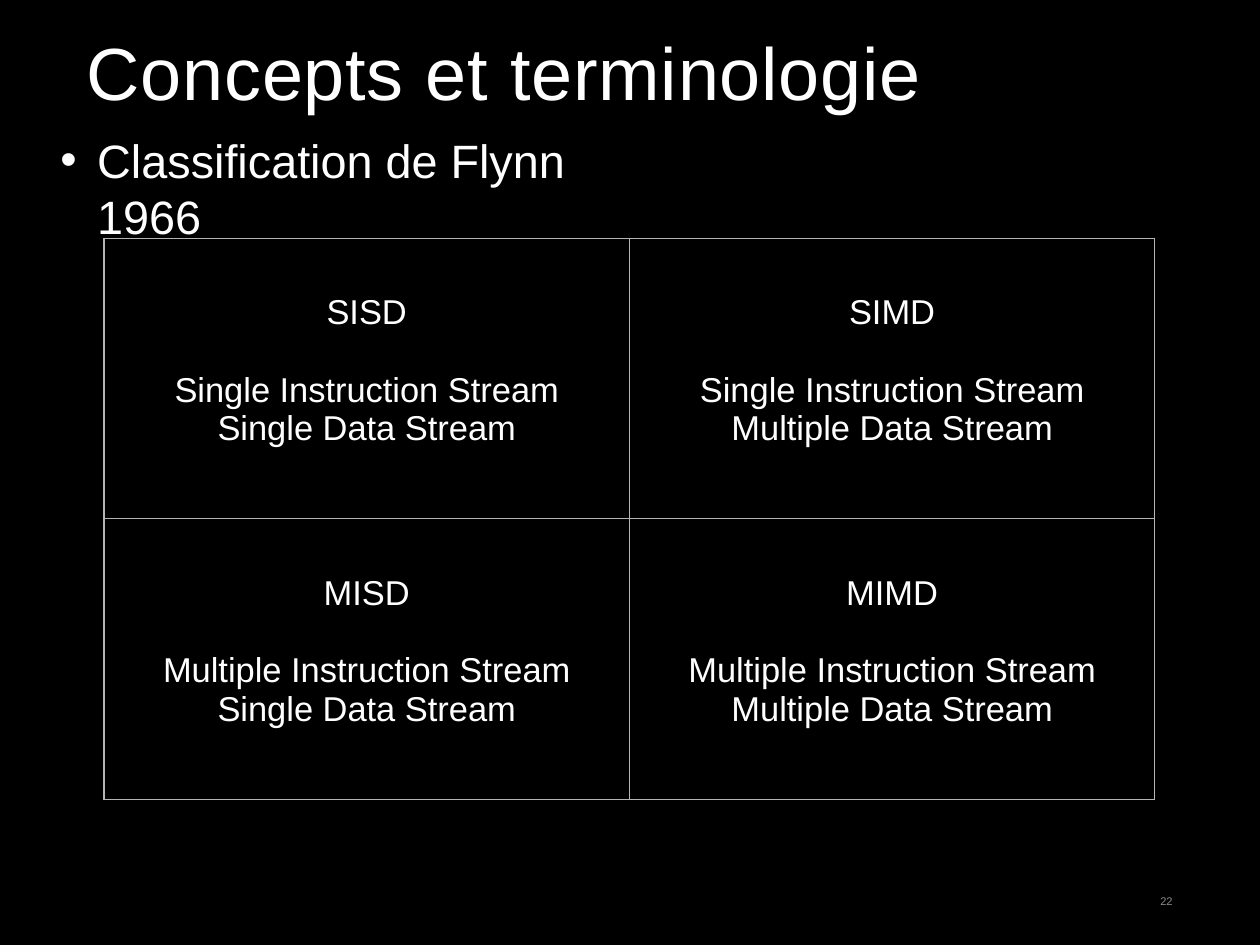
from lxml.etree import SubElement
from pptx import Presentation
from pptx.dml.color import RGBColor
from pptx.enum.text import MSO_ANCHOR, MSO_AUTO_SIZE, PP_ALIGN
from pptx.oxml.ns import qn
from pptx.util import Pt

WHITE, BLACK, GREY, RULE = "FFFFFF", "000000", "8C8C8C", "B4B4B4"
GRID = [
    [("SISD", "Single", "Single"), ("SIMD", "Single", "Multiple")],
    [("MISD", "Multiple", "Single"), ("MIMD", "Multiple", "Multiple")],
]


def tint(code):
    return RGBColor.from_string(code)


def place(shape, box):
    shape.left, shape.top, shape.width, shape.height = map(Pt, box)


def style(frame, size, code, align, gap=0):
    for para in frame.paragraphs:
        para.alignment = align
        para.space_before = Pt(0)
        for run in para.runs:
            font = run.font
            font.name, font.size = "Arial", Pt(size)
            font.color.rgb = tint(code)
            if gap:
                run._r.get_or_add_rPr().set("spc", str(gap))


def fit(frame, anchor):
    frame.word_wrap = True
    frame.auto_size = MSO_AUTO_SIZE.NONE
    frame.vertical_anchor = anchor
    frame.margin_left = frame.margin_right = 0
    frame.margin_top = frame.margin_bottom = 0


def add_title(slide, box):
    shape = slide.shapes.title
    place(shape, box)
    frame = shape.text_frame
    frame.text = "Concepts et terminologie"
    fit(frame, MSO_ANCHOR.MIDDLE)
    style(frame, 60, WHITE, PP_ALIGN.LEFT, 67)


def add_list(slide, box):
    shape = slide.placeholders[1]
    place(shape, box)
    frame = shape.text_frame
    frame.text = "Classification de Flynn 1966"
    fit(frame, MSO_ANCHOR.TOP)
    style(frame, 38, WHITE, PP_ALIGN.LEFT)
    para = frame.paragraphs[0]
    para.line_spacing = Pt(45.5)
    props = para._p.get_or_add_pPr()
    props.set("marL", str(Pt(31)))
    props.set("indent", str(Pt(-30)))
    SubElement(props, qn("a:buChar")).set("char", "•")


def rule_cell(cell, code):
    props = cell._tc.get_or_add_tcPr()
    for side in ("lnL", "lnR", "lnT", "lnB"):
        line = SubElement(props, qn("a:" + side), w=str(Pt(1)))
        fill = SubElement(line, qn("a:solidFill"))
        SubElement(fill, qn("a:srgbClr")).set("val", str(tint(code)))


def fill_cell(cell, name, order, data):
    rule_cell(cell, RULE)
    cell.fill.solid()
    cell.fill.fore_color.rgb = tint(BLACK)
    cell.margin_left = cell.margin_right = cell.margin_bottom = 0
    cell.margin_top = Pt(45)
    cell.vertical_anchor = MSO_ANCHOR.TOP
    frame = cell.text_frame
    frame.text = f"{name}\n{order} Instruction Stream\n{data} Data Stream"
    style(frame, 28, WHITE, PP_ALIGN.CENTER)
    frame.paragraphs[1].space_before = Pt(32)


def add_grid(slide, box):
    table = slide.shapes.add_table(len(GRID), len(GRID[0]), *map(Pt, box)).table
    table.first_row = table.horz_banding = False
    for row, items in enumerate(GRID):
        for col, item in enumerate(items):
            fill_cell(table.cell(row, col), *item)


def add_count(slide, box):
    frame = slide.shapes.add_textbox(*map(Pt, box)).text_frame
    frame.text = "22"
    fit(frame, MSO_ANCHOR.MIDDLE)
    style(frame, 9, GREY, PP_ALIGN.RIGHT)


def main():
    deck = Presentation()
    deck.slide_width, deck.slide_height = Pt(1024), Pt(768)
    slide = deck.slides.add_slide(deck.slide_layouts[1])
    slide.background.fill.solid()
    slide.background.fill.fore_color.rgb = tint(BLACK)
    add_count(slide, (723, 712, 230, 41))
    add_list(slide, (48, 107, 495, 92))
    add_grid(slide, (84.5, 193.5, 854, 456))
    add_title(slide, (70.5, 21.5, 883, 73))
    deck.save("out.pptx")


if __name__ == "__main__":
    main()
